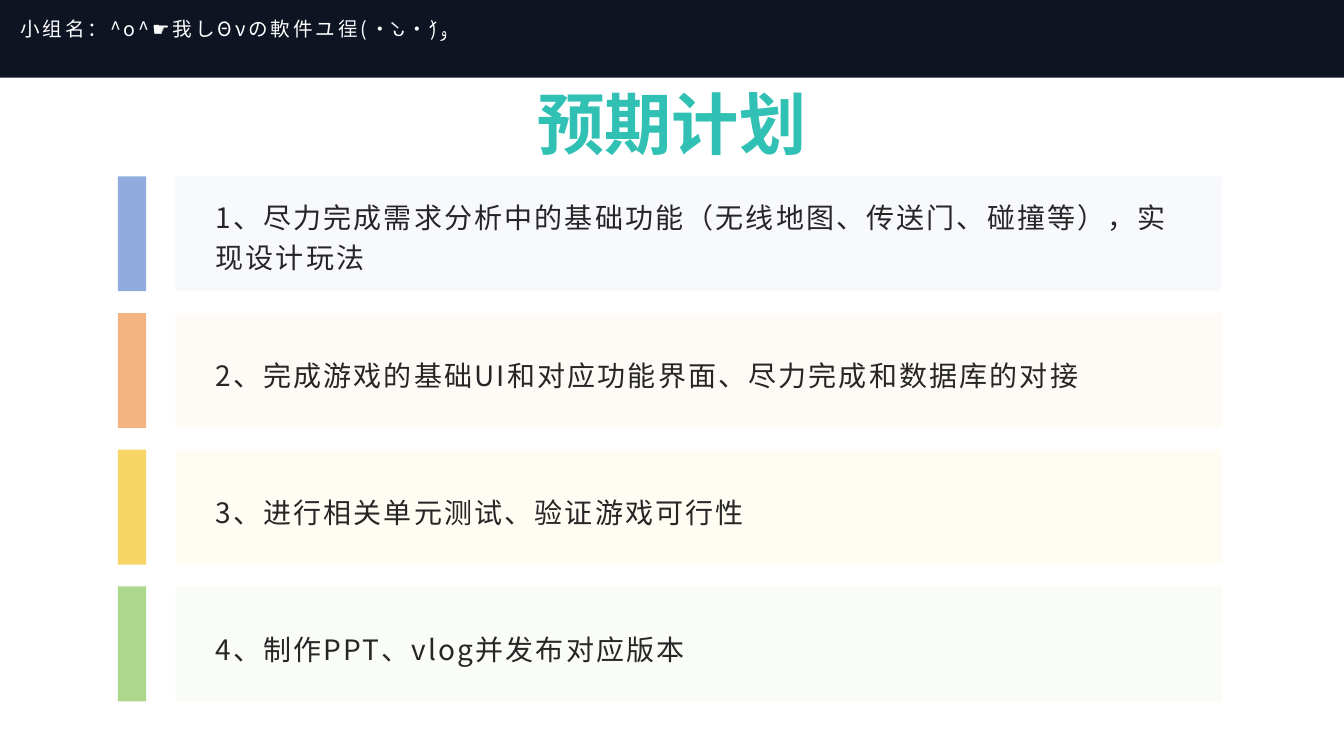
from pptx import Presentation
from pptx.util import Inches, Pt
from pptx.dml.color import RGBColor
from pptx.enum import shapes, text
from pptx.oxml import parse_xml
from pptx.oxml.ns import nsdecls, qn
from lxml import etree

NAVY = RGBColor(0x0F, 0x14, 0x23)
WHITE = RGBColor(0xFF, 0xFF, 0xFF)
TEAL = RGBColor(0x30, 0xC0, 0xB4)
INK = RGBColor(0x26, 0x26, 0x26)
CJK = "Noto Sans CJK SC"

PLANS = [
    ("1、尽力完成需求分析中的基础功能（无线地图、传送门、碰撞等），实现设计玩法",
     RGBColor(0x48, 0x74, 0xCB), RGBColor(0xDA, 0xE3, 0xF5), 1.2),
    ("2、完成游戏的基础UI和对应功能界面、尽力完成和数据库的对接",
     RGBColor(0xEE, 0x82, 0x2F), RGBColor(0xFC, 0xE6, 0xD5), 1.3),
    ("3、进行相关单元测试、验证游戏可行性",
     RGBColor(0xF2, 0xBA, 0x02), RGBColor(0xFF, 0xF2, 0xCA), 1.3),
    ("4、制作PPT、vlog并发布对应版本",
     RGBColor(0x75, 0xBD, 0x42), RGBColor(0xE3, 0xF2, 0xD9), 1.3),
]

prs = Presentation()
prs.slide_width = Inches(13.33)
prs.slide_height = Inches(7.5)
s = prs.slides.add_slide(prs.slide_layouts[6])


def add_block(x, y, w, h, color, alpha=100):
    sp = s.shapes.add_shape(shapes.MSO_SHAPE.RECTANGLE,
                            Inches(x), Inches(y), Inches(w), Inches(h))
    sp.shadow.inherit = False
    sp.line.fill.background()
    sp.fill.solid()
    sp.fill.fore_color.rgb = color
    if alpha < 100:
        clr = sp.fill._xPr.find(qn("a:solidFill"))[0]
        etree.SubElement(clr, qn("a:alpha")).set("val", str(alpha * 1000))


def add_label(x, y, w, h, words, size, color, font, spacing=0):
    tf = s.shapes.add_textbox(Inches(x), Inches(y), Inches(w), Inches(h)).text_frame
    tf.word_wrap = True
    tf.text = words
    r = tf.paragraphs[0].runs[0]
    r.font.size = Pt(size)
    r.font.color.rgb = color
    r.font.name = font
    rPr = r.font._element
    etree.SubElement(rPr, qn("a:ea")).set("typeface", font)
    if spacing:
        rPr.set("spc", str(int(spacing * 100)))
    return tf


add_block(0, 0, 13.33, 0.77, NAVY)
tf = add_label(0.13, 0.09, 4.6, 0.59, "小组名：^o^☛我しΘνの軟件ユ徎(•̀ᴗ•́)و", 14, WHITE, CJK, 2)
tf.margin_left = tf.margin_right = Inches(0.07)
tf.margin_top = tf.margin_bottom = Inches(0.03)
tf.paragraphs[0].line_spacing = 1.2
tf.paragraphs[0].space_after = Pt(8)

tf = add_label(5.23, 0.77, 2.87, 0.91, "预期计划", 48, TEAL, "Arial")
tf.word_wrap = False
tf.auto_size = text.MSO_AUTO_SIZE.SHAPE_TO_FIT_TEXT
p = tf.paragraphs[0]
p.alignment = text.PP_ALIGN.CENTER
p.runs[0].font.bold = True
p.runs[0].font._element.insert(0, parse_xml(
    f'<a:ln {nsdecls("a")} w="9525"><a:solidFill><a:srgbClr val="{WHITE}"/></a:solidFill></a:ln>'))

for i, (words, accent, tint, spacing) in enumerate(PLANS):
    top = 1.75 + i * 1.356
    add_block(1.74, top, 10.38, 1.14, tint, 20)
    add_block(1.17, top, 0.28, 1.14, accent, 60)
    tf = add_label(2.04, top + 0.1, 9.93, 0.94, words, 20, INK, CJK, 1.5)
    tf.vertical_anchor = text.MSO_ANCHOR.MIDDLE
    tf.paragraphs[0].line_spacing = spacing

prs.save("out.pptx")
